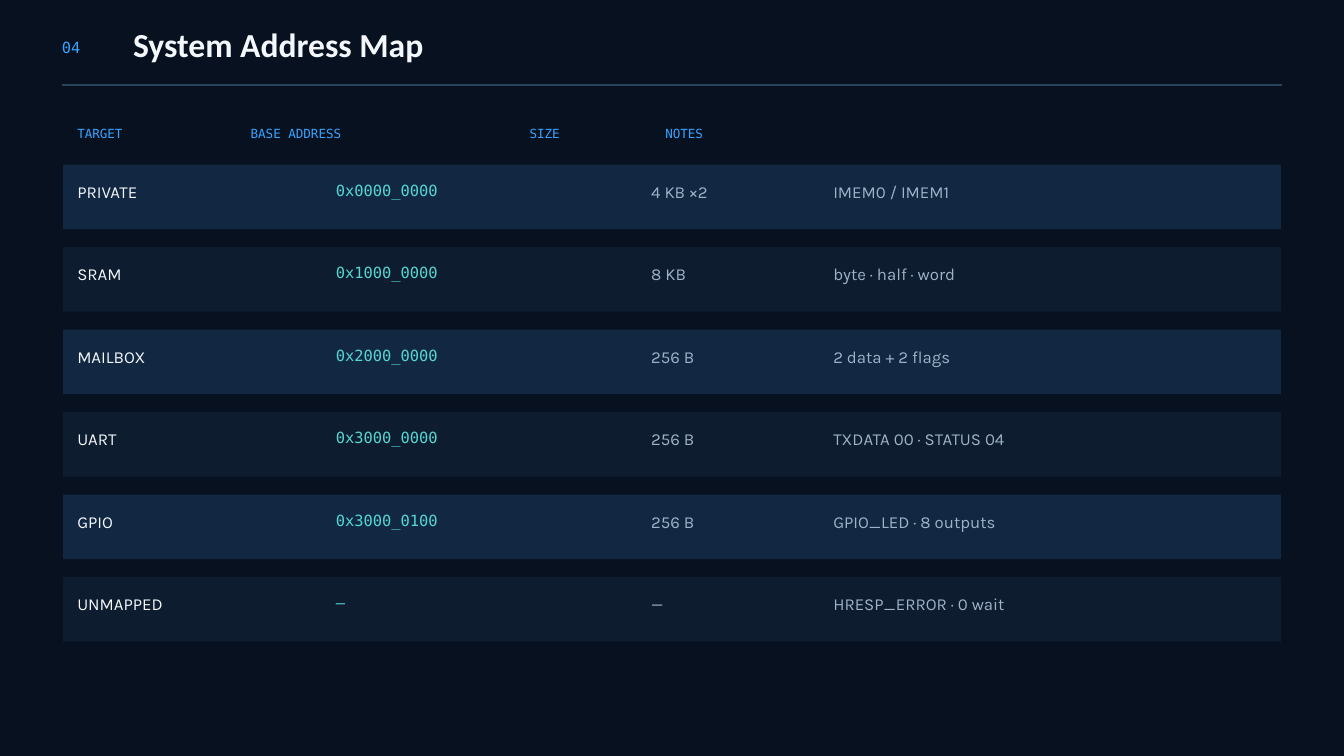
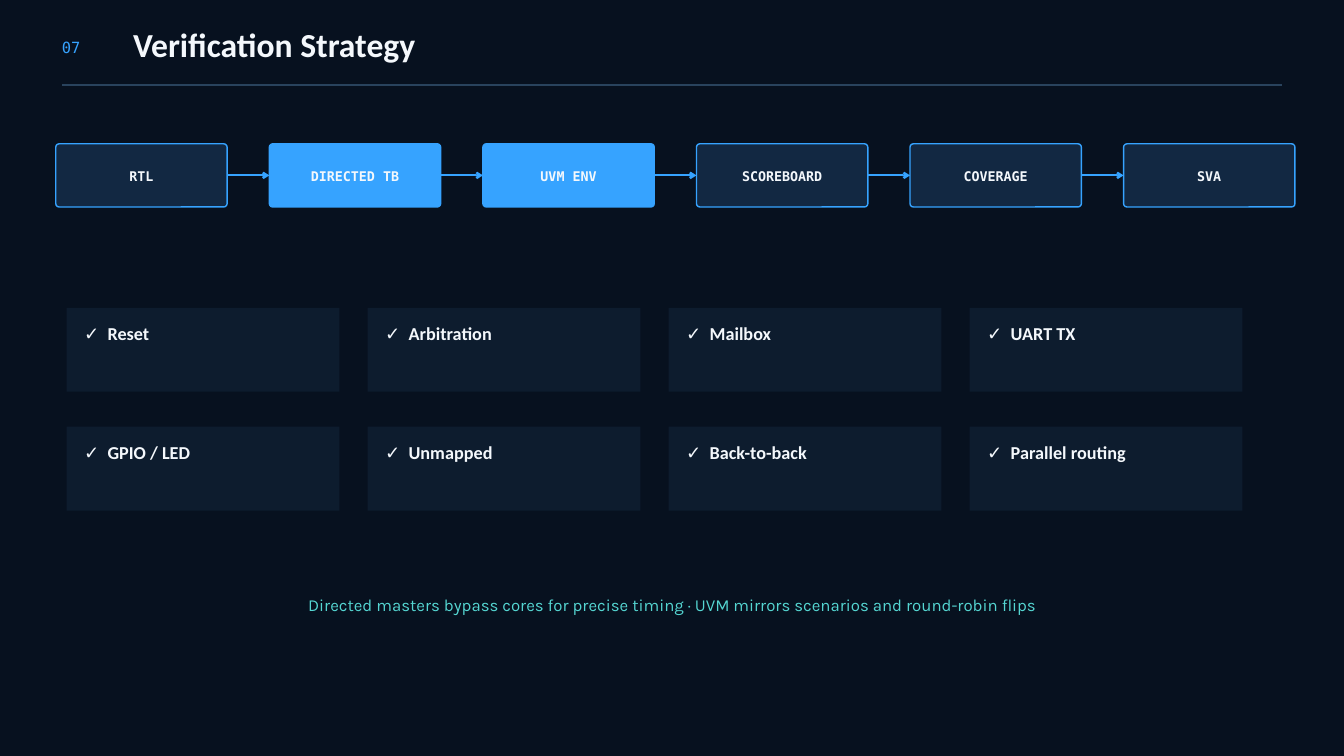
from dataclasses import dataclass
from typing import Optional

from pptx import Presentation
from pptx.dml.color import RGBColor
from pptx.enum.shapes import MSO_CONNECTOR, MSO_SHAPE
from pptx.enum.text import MSO_ANCHOR, PP_ALIGN
from pptx.oxml.ns import qn
from pptx.oxml.xmlchemy import OxmlElement
from pptx.presentation import Presentation as Deck
from pptx.shapes.autoshape import Shape
from pptx.shapes.connector import Connector
from pptx.slide import Slide
from pptx.text.text import TextFrame
from pptx.util import Inches, Pt

NIGHT = RGBColor(0x07, 0x11, 0x1F)
NAVY = RGBColor(0x12, 0x28, 0x42)
INK = RGBColor(0x0D, 0x1C, 0x2E)
RULE = RGBColor(0x29, 0x43, 0x5D)
BLUE = RGBColor(0x36, 0xA3, 0xFF)
TEAL = RGBColor(0x55, 0xD6, 0xD2)
WHITE = RGBColor(0xF4, 0xF8, 0xFC)
MIST = RGBColor(0x9E, 0xB2, 0xC8)

HEADING = "Calibri"
MONO = "DejaVu Sans Mono"
BODY = "Karla"


@dataclass(frozen=True)
class TextStyle:
    name: str
    size: float
    color: RGBColor
    leading: float
    bold: bool = False
    align: PP_ALIGN = PP_ALIGN.LEFT
    tabs: tuple[float, ...] = ()


@dataclass(frozen=True)
class Box:
    left: float
    top: float
    width: float
    height: float


@dataclass(frozen=True)
class Column:
    left: float
    drop: float
    width: float
    height: float
    style: TextStyle


@dataclass(frozen=True)
class Region:
    target: str
    base: str
    size: str
    notes: str


@dataclass(frozen=True)
class Step:
    label: str
    fill: RGBColor = NAVY


NUMBER = TextStyle(MONO, 16.5, BLUE, 20.6)
TITLE = TextStyle(HEADING, 36, WHITE, 38.9, bold=True)
COLUMN_HEADS = TextStyle(MONO, 13.5, BLUE, 16.9, tabs=(2.58, 6.73, 8.75))
TARGET = TextStyle(BODY, 18, WHITE, 24.3)
ADDRESS = TextStyle(MONO, 16.5, TEAL, 20.6)
DETAIL = TextStyle(BODY, 18, MIST, 24.3)
STEP = TextStyle(MONO, 14.25, WHITE, 19.9, bold=True, align=PP_ALIGN.CENTER)
CHECK = TextStyle(HEADING, 19.5, WHITE, 22.4, bold=True, tabs=(0.35,))
SUMMARY = TextStyle(BODY, 18, TEAL, 24.3, align=PP_ALIGN.CENTER)

COLUMNS = (
    Column(1.15, 0.21, 3.33, 0.32, TARGET),
    Column(5, 0.23, 4.17, 0.28, ADDRESS),
    Column(9.69, 0.21, 2.29, 0.32, DETAIL),
    Column(12.4, 0.21, 6.15, 0.32, DETAIL),
)
REGIONS = (
    Region("PRIVATE", "0x0000_0000", "4 KB ×2", "IMEM0 / IMEM1"),
    Region("SRAM", "0x1000_0000", "8 KB", "byte · half · word"),
    Region("MAILBOX", "0x2000_0000", "256 B", "2 data + 2 flags"),
    Region("UART", "0x3000_0000", "256 B", "TXDATA 00 · STATUS 04"),
    Region("GPIO", "0x3000_0100", "256 B", "GPIO_LED · 8 outputs"),
    Region("UNMAPPED", "—", "—", "HRESP_ERROR · 0 wait"),
)
FIRST_BAND = Box(0.94, 2.45, 18.12, 0.96)
LAST_BAND_TOP = 8.59

STEPS = (
    Step("RTL"),
    Step("DIRECTED TB", BLUE),
    Step("UVM ENV", BLUE),
    Step("SCOREBOARD"),
    Step("COVERAGE"),
    Step("SVA"),
)
FIRST_STEP = Box(0.83, 2.14, 2.55, 0.94)
LAST_STEP_LEFT = 16.72

CHECKS = (
    "Reset", "Arbitration", "Mailbox", "UART TX",
    "GPIO / LED", "Unmapped", "Back-to-back", "Parallel routing",
)
FIRST_CARD = Box(0.99, 4.58, 4.06, 1.25)
CARD_COLUMNS = 4
CARD_PITCH_X = 4.48
CARD_PITCH_Y = 1.77


def inches(box: Box) -> tuple[Inches, ...]:
    return tuple(Inches(n) for n in (box.left, box.top, box.width, box.height))


def write(frame: TextFrame, text: str, style: TextStyle, inset: float = 0) -> None:
    frame_format = {
        "word_wrap": True,
        **{f"margin_{side}": Inches(inset) for side in ("left", "top", "right", "bottom")},
    }
    for key, value in frame_format.items():
        setattr(frame, key, value)
    paragraph = frame.paragraphs[0]
    if style.tabs:
        stops = OxmlElement("a:tabLst")
        for position in style.tabs:
            stop = OxmlElement("a:tab")
            stop.set("pos", str(Inches(position)))
            stop.set("algn", "l")
            stops.append(stop)
        paragraph._p.get_or_add_pPr().append(stops)
    paragraph.alignment = style.align
    paragraph.line_spacing = Pt(style.leading)
    run = paragraph.add_run()
    run.text = text
    font_format = {"name": style.name, "size": Pt(style.size), "bold": style.bold}
    for key, value in font_format.items():
        setattr(run.font, key, value)
    run.font.color.rgb = style.color


def add_text(slide: Slide, box: Box, text: str, style: TextStyle) -> None:
    write(slide.shapes.add_textbox(*inches(box)).text_frame, text, style)


def add_panel(
    slide: Slide,
    box: Box,
    fill: RGBColor,
    outline: Optional[RGBColor] = None,
    radius: float = 0,
) -> Shape:
    kind = MSO_SHAPE.ROUNDED_RECTANGLE if radius else MSO_SHAPE.RECTANGLE
    panel = slide.shapes.add_shape(kind, *inches(box))
    panel.shadow.inherit = False
    panel.fill.solid()
    panel.fill.fore_color.rgb = fill
    if radius:
        panel.adjustments[0] = radius / box.height
    if outline is None:
        panel.line.fill.background()
    else:
        panel.line.color.rgb = outline
        panel.line.width = Pt(1.5)
    return panel


def add_line(
    slide: Slide, start: float, end: float, y: float, color: RGBColor, weight: float
) -> Connector:
    line = slide.shapes.add_connector(
        MSO_CONNECTOR.STRAIGHT, Inches(start), Inches(y), Inches(end), Inches(y)
    )
    line.line.color.rgb = color
    line.line.width = Pt(weight)
    line.element.spPr.append(OxmlElement("a:effectLst"))
    return line


def add_arrow(slide: Slide, source: Shape, goal: Shape) -> None:
    arrow = add_line(slide, 0, 1, 0, BLUE, 2.25)
    arrow.begin_connect(source, 3)
    arrow.end_connect(goal, 1)
    tip = OxmlElement("a:tailEnd")
    tip.set("type", "arrow")
    arrow.element.spPr.find(qn("a:ln")).append(tip)


def add_titled_slide(deck: Deck, number: str, title: str) -> Slide:
    slide = deck.slides.add_slide(deck.slide_layouts[6])
    slide.background.fill.solid()
    slide.background.fill.fore_color.rgb = NIGHT
    add_text(slide, Box(0.92, 0.55, 0.94, 0.28), number, NUMBER)
    add_text(slide, Box(1.98, 0.42, 15.62, 0.61), title, TITLE)
    add_line(slide, 0.92, 19.08, 1.27, RULE, 2)
    return slide


def build_address_map(deck: Deck) -> None:
    slide = add_titled_slide(deck, "04", "System Address Map")
    heads = "\t".join(("TARGET", "BASE ADDRESS", "SIZE", "NOTES"))
    add_text(slide, Box(1.15, 1.86, 16.67, 0.23), heads, COLUMN_HEADS)
    pitch = (LAST_BAND_TOP - FIRST_BAND.top) / (len(REGIONS) - 1)
    for index, region in enumerate(REGIONS):
        top = FIRST_BAND.top + index * pitch
        band = Box(FIRST_BAND.left, top, FIRST_BAND.width, FIRST_BAND.height)
        add_panel(slide, band, INK if index % 2 else NAVY)
        values = (region.target, region.base, region.size, region.notes)
        for column, value in zip(COLUMNS, values):
            cell = Box(column.left, top + column.drop, column.width, column.height)
            add_text(slide, cell, value, column.style)


def build_verification(deck: Deck) -> None:
    slide = add_titled_slide(deck, "07", "Verification Strategy")
    pitch = (LAST_STEP_LEFT - FIRST_STEP.left) / (len(STEPS) - 1)
    previous: Optional[Shape] = None
    for index, step in enumerate(STEPS):
        left = FIRST_STEP.left + index * pitch
        box = Box(left, FIRST_STEP.top, FIRST_STEP.width, FIRST_STEP.height)
        stage = add_panel(slide, box, step.fill, BLUE, radius=0.05)
        write(stage.text_frame, step.label, STEP, inset=0.06)
        stage.text_frame.vertical_anchor = MSO_ANCHOR.MIDDLE
        if previous is not None:
            add_arrow(slide, previous, stage)
        previous = stage

    for index, check in enumerate(CHECKS):
        row, column = divmod(index, CARD_COLUMNS)
        left = FIRST_CARD.left + column * CARD_PITCH_X
        top = FIRST_CARD.top + row * CARD_PITCH_Y
        add_panel(slide, Box(left, top, FIRST_CARD.width, FIRST_CARD.height), INK)
        add_text(slide, Box(left + 0.26, top + 0.23, 3.65, 0.35), f"✓\t{check}", CHECK)

    add_text(
        slide,
        Box(2.4, 8.82, 15.21, 0.33),
        "Directed masters bypass cores for precise timing · "
        "UVM mirrors scenarios and round-robin flips",
        SUMMARY,
    )


def main() -> None:
    deck = Presentation()
    deck.slide_width = Inches(20)
    deck.slide_height = Inches(11.25)
    build_address_map(deck)
    build_verification(deck)
    deck.save("out.pptx")


if __name__ == "__main__":
    main()
